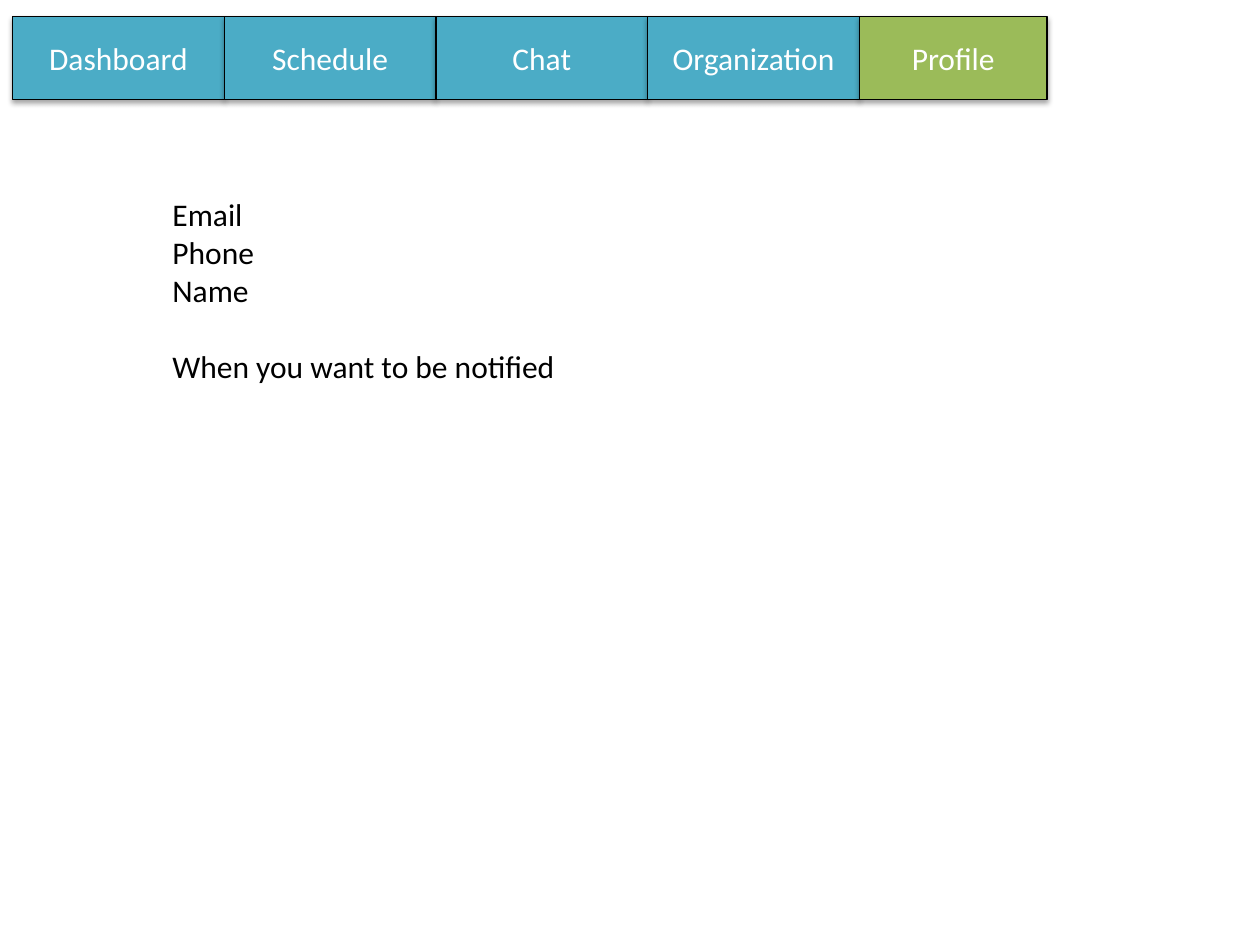
from dataclasses import dataclass

from lxml.etree import SubElement
from pptx import Presentation
from pptx.dml.color import RGBColor
from pptx.enum.shapes import MSO_SHAPE
from pptx.enum.text import MSO_ANCHOR, MSO_AUTO_SIZE, PP_ALIGN
from pptx.oxml.ns import qn
from pptx.util import Inches, Pt

COLORS = {"tab": "4BACC6", "active": "9BBB59", "line": "000000",
          "light": "FFFFFF", "dark": "000000"}
FONT = {"name": "Calibri", "size": Pt(18)}
TAB_FRAME = {"vertical_anchor": MSO_ANCHOR.MIDDLE, "word_wrap": True}
BODY_FRAME = {"word_wrap": False, "auto_size": MSO_AUTO_SIZE.SHAPE_TO_FIT_TEXT}
SHADOW = {"blurRad": Pt(3.1), "dist": Pt(1.8), "dir": 90 * 60000, "rotWithShape": 0}
TAB_LEFT, TAB_TOP, TAB_HEIGHT = 0.1, 0.13, 0.66


@dataclass
class Tab:
    label: str
    width: float = 1.68
    color: str = "tab"


@dataclass
class Line:
    text: str
    space_before: float = 0


TABS = [Tab("Dashboard"), Tab("Schedule"), Tab("Chat"), Tab("Organization"),
        Tab("Profile", 1.49, "active")]
LINES = [Line("Email"), Line("Phone"), Line("Name"),
         Line("When you want to be notified", 22)]


def rgb(key: str) -> RGBColor:
    return RGBColor.from_string(COLORS[key])


def apply(target, values: dict) -> None:
    for name, value in values.items():
        setattr(target, name, value)


def write(p, text: str, color: str) -> None:
    r = p.add_run()
    r.text = text
    apply(r.font, FONT)
    r.font.color.rgb = rgb(color)


def add_shadow(sp) -> None:
    sp.shadow.inherit = False
    effects = sp._element.spPr.find(qn("a:effectLst"))
    shadow = SubElement(effects, qn("a:outerShdw"),
                        {k: str(int(v)) for k, v in SHADOW.items()})
    color = SubElement(shadow, qn("a:srgbClr"), val=COLORS["dark"])
    SubElement(color, qn("a:alpha"), val="35000")


def draw_tab(s, tab: Tab, left: float) -> None:
    sp = s.shapes.add_shape(MSO_SHAPE.RECTANGLE, Inches(left), Inches(TAB_TOP),
                            Inches(tab.width), Inches(TAB_HEIGHT))
    sp.fill.solid()
    sp.fill.fore_color.rgb = rgb(tab.color)
    sp.line.color.rgb = rgb("line")
    sp.line.width = Pt(0.75)
    add_shadow(sp)
    tf = sp.text_frame
    apply(tf, TAB_FRAME)
    p = tf.paragraphs[0]
    p.alignment = PP_ALIGN.CENTER
    write(p, tab.label, "light")


def draw_lines(s, lines: list[Line]) -> None:
    sp = s.shapes.add_textbox(Inches(1.27), Inches(1.5), Inches(3.28), Inches(2.22))
    tf = sp.text_frame
    apply(tf, BODY_FRAME)
    for i, line in enumerate(lines):
        p = tf.add_paragraph() if i else tf.paragraphs[0]
        p.space_before = Pt(line.space_before)
        write(p, line.text, "dark")


prs = Presentation()
prs.slide_width, prs.slide_height = Inches(10), Inches(7.5)
s = prs.slides.add_slide(prs.slide_layouts[6])
left = TAB_LEFT
for tab in TABS:
    draw_tab(s, tab, left)
    left += tab.width
draw_lines(s, LINES)
prs.save("out.pptx")
